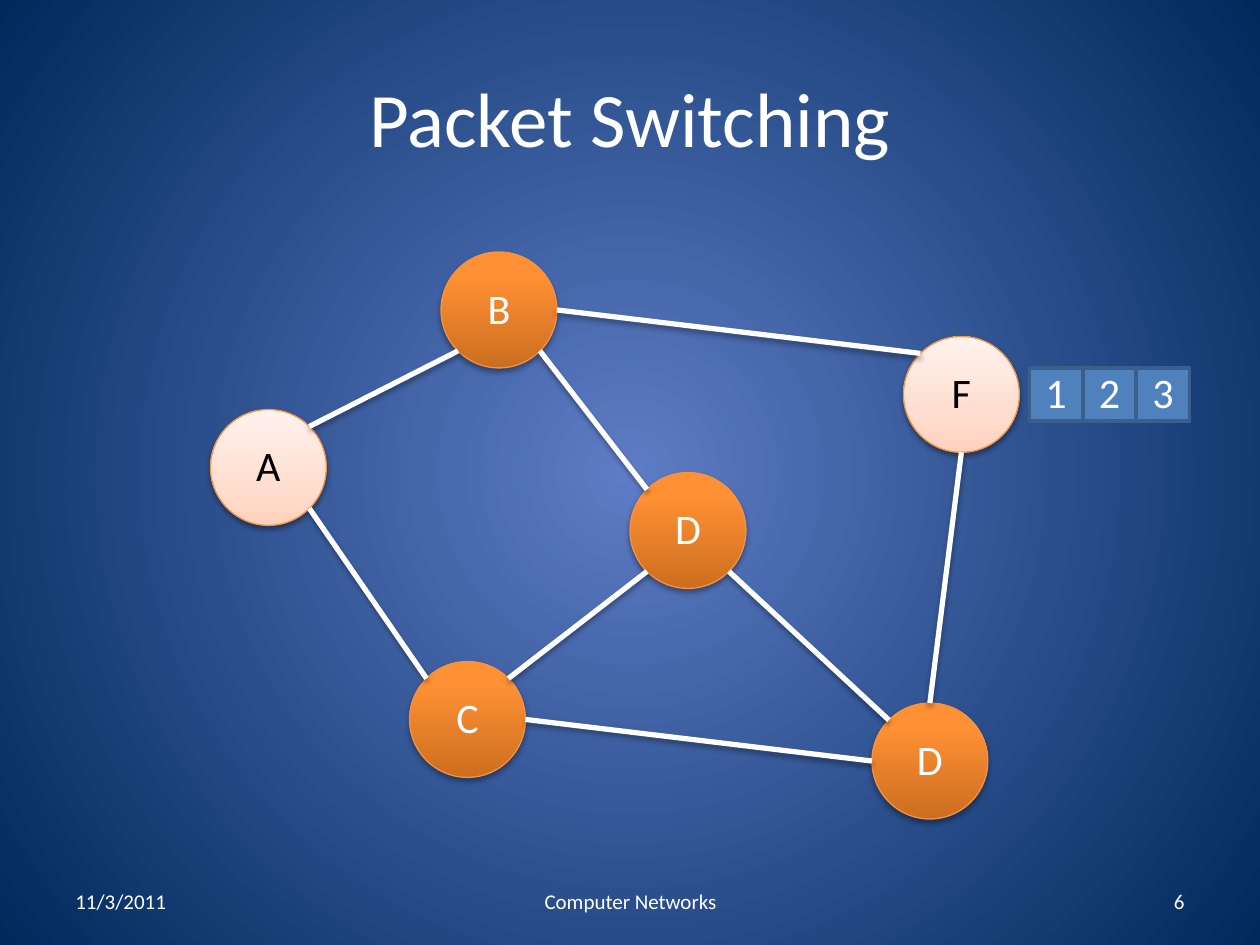
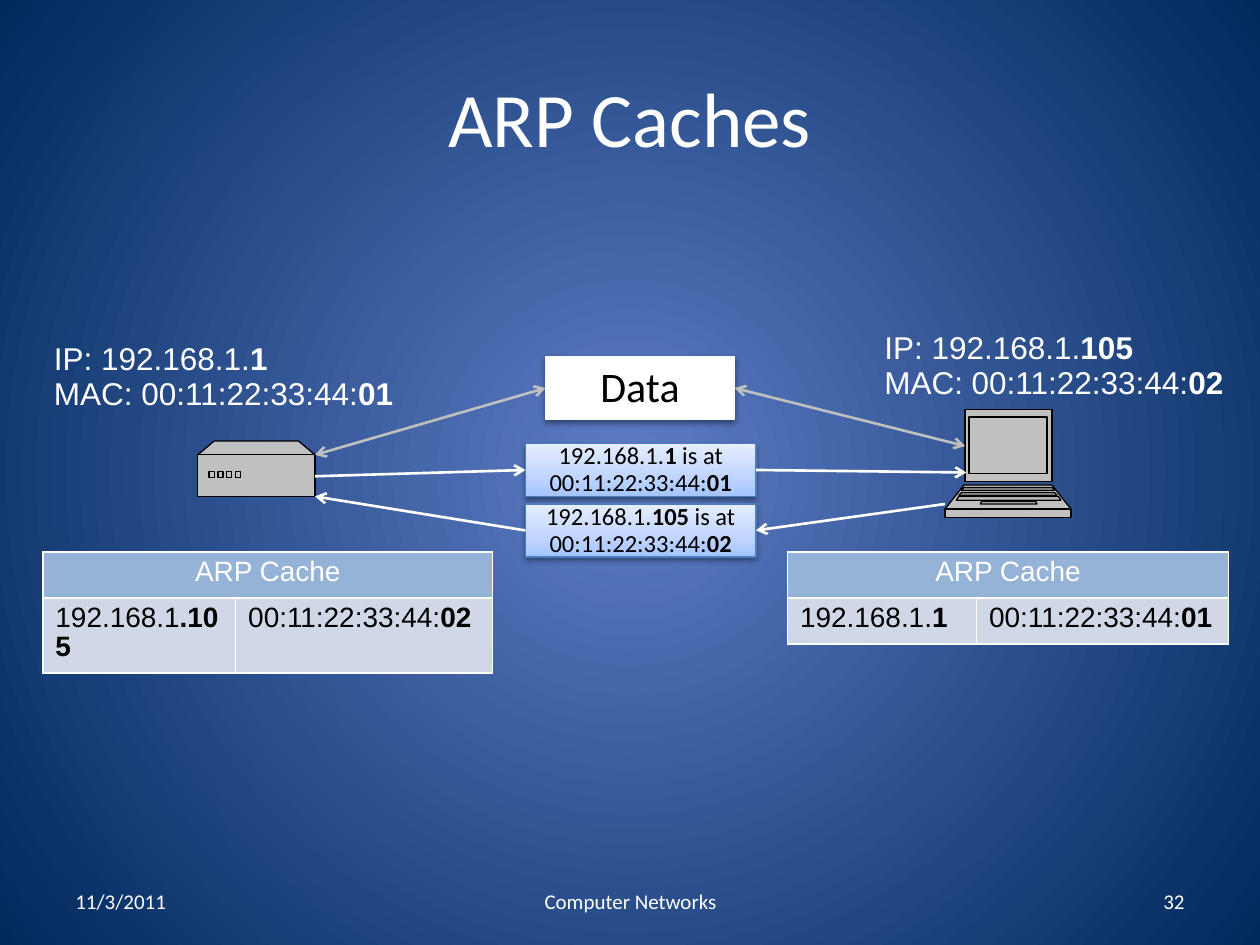
from math import cos, radians, sin

from pptx import Presentation
from pptx.dml.color import RGBColor
from pptx.enum.shapes import MSO_CONNECTOR, MSO_SHAPE
from pptx.enum.text import MSO_ANCHOR, MSO_AUTO_SIZE, PP_ALIGN
from pptx.oxml import parse_xml
from pptx.oxml.ns import nsdecls, qn
from pptx.util import Inches, Pt

LEFT, CENTER, RIGHT = PP_ALIGN.LEFT, PP_ALIGN.CENTER, PP_ALIGN.RIGHT
MIDDLE = MSO_ANCHOR.MIDDLE
FIT_SHAPE = MSO_AUTO_SIZE.SHAPE_TO_FIT_TEXT
STRAIGHT = MSO_CONNECTOR.STRAIGHT
OVAL, RECTANGLE = MSO_SHAPE.OVAL, MSO_SHAPE.RECTANGLE

WHITE, BLACK = "FFFFFF", "000000"
GREY, LIGHT_GREY = "C0C0C0", "BFBFBF"
ORANGE_LINE, BLUE_LINE = "F69240", "4B7EBC"
TABLE_HEAD, TABLE_BODY = "95B3D7", "D0D8E8"

BACKGROUND = [(0, "5E7CC5"), (100, "00295C")]
ORANGE = [(0, "CC6E20"), (80, "FF9034"), (100, "FF9136")]
PEACH = [(0, "FFD2BD"), (35, "FFDED0"), (100, "FFF2ED")]
PALE_BLUE = [(0, "A4C4FF"), (35, "BFD4FF"), (100, "E6EEFF")]
UPWARD = '<a:lin ang="16200000" scaled="0"/>'
FROM_CENTER = ('<a:path path="circle"><a:fillToRect l="50000" t="50000" '
               'r="50000" b="50000"/></a:path>')

# Shadows: opacity in percent, distance in points
STRONG_SHADOW, SOFT_SHADOW = (35, 1.8), (38, 1.6)

TIGHT = 0.93
NODE_SIZE = 0.92
PACKET_SIZE = 0.42


def rgb(value):
    return RGBColor.from_string(value)


def set_values(target, **values):
    for name, value in values.items():
        setattr(target, name, value)


def paint(fill, parent, paint_value, direction=UPWARD):
    """Fill with one hex colour or with a list of gradient stops."""
    fill.solid()
    if isinstance(paint_value, str):
        fill.fore_color.rgb = rgb(paint_value)
        return
    stops = "".join(
        f'<a:gs pos="{place * 1000}"><a:srgbClr val="{color}"/></a:gs>'
        for place, color in paint_value)
    gradient = parse_xml(f'<a:gradFill {nsdecls("a")} rotWithShape="1">'
                         f'<a:gsLst>{stops}</a:gsLst>{direction}</a:gradFill>')
    parent.replace(parent.find(qn("a:solidFill")), gradient)


def set_line(line, color, width):
    line.color.rgb = rgb(color)
    line.width = Pt(width)


def set_shadow(shape, shadow=None):
    """Add the effect list last; without a shadow it stays empty."""
    effect = ""
    if shadow:
        opacity, distance = shadow
        effect = (f'<a:outerShdw blurRad="{Pt(3.1)}" dist="{Pt(distance)}" '
                  f'dir="5400000" rotWithShape="0"><a:srgbClr val="{BLACK}">'
                  f'<a:alpha val="{opacity * 1000}"/></a:srgbClr></a:outerShdw>')
    shape.element.spPr.append(
        parse_xml(f'<a:effectLst {nsdecls("a")}>{effect}</a:effectLst>'))


def write_text(frame, paragraphs, size, color=WHITE, font="Calibri",
               align=LEFT, spacing=TIGHT):
    """Each paragraph lists its spans, plain and bold in turn."""
    for index, spans in enumerate(paragraphs):
        para = frame.add_paragraph() if index else frame.paragraphs[0]
        set_values(para, alignment=align, line_spacing=spacing)
        for order, words in enumerate(spans):
            span = para.add_run()
            span.text = words
            set_values(span.font, name=font, size=Pt(size), bold=order % 2 == 1)
            span.font.color.rgb = rgb(color)


def add_label(slide, place, paragraphs, size, **style):
    box = slide.shapes.add_textbox(*map(Inches, place))
    write_text(box.text_frame, paragraphs, size, **style)
    return box


def add_box(slide, kind, place, spans, fill, line, size=24, color=WHITE,
            shadow=None):
    shape = slide.shapes.add_shape(kind, *map(Inches, place))
    paint(shape.fill, shape.element.spPr, fill)
    set_line(shape.line, *line)
    set_shadow(shape, shadow)
    set_values(shape.text_frame, word_wrap=True, vertical_anchor=MIDDLE)
    write_text(shape.text_frame, [spans], size, color, align=CENTER)


def add_link(slide, start, end, color=WHITE, width=1.5, heads=(), shadow=None):
    """Draw a line; heads names the ends ("head", "tail") that get an arrow."""
    link = slide.shapes.add_connector(STRAIGHT, *map(Inches, (*start, *end)))
    set_line(link.line, color, width)
    outline = link.element.spPr.find(qn("a:ln"))
    for head in heads:
        outline.append(parse_xml(f'<a:{head}End {nsdecls("a")} type="arrow"/>'))
    set_shadow(link, shadow)


def add_slab(slide, left, right, top, bottom, flare=0):
    """Draw a grey rectangle whose lower edge is wider by flare on each side."""
    corners = [(left, top), (right, top), (right + flare, bottom),
               (left - flare, bottom)]
    points = [(Inches(x), Inches(y)) for x, y in corners]
    builder = slide.shapes.build_freeform(*points[0])
    builder.add_line_segments(points[1:], close=True)
    slab = builder.convert_to_shape()
    paint(slab.fill, slab.element.spPr, GREY)
    set_line(slab.line, BLACK, 0.75)
    set_shadow(slab)


def add_modem(slide):
    add_slab(slide, 1.7, 2.37, 3.5, 3.61, 0.13)
    add_slab(slide, 1.57, 2.5, 3.61, 3.94)
    for number in range(4):
        left = 1.66 + 0.07 * number
        add_slab(slide, left, left + 0.04, 3.74, 3.79)


def add_laptop(slide):
    for slab in [
        (7.66, 8.35, 3.25, 3.82),
        (7.69, 8.31, 3.31, 3.76),
        (7.65, 8.35, 3.85, 4.04, 0.15),
        (7.5, 8.5, 4.04, 4.11),
        (7.65, 8.35, 3.87, 3.89, 0.02),
        (7.63, 8.37, 3.91, 3.93, 0.02),
        (7.61, 8.4, 3.94, 3.97, 0.02),
        (7.79, 8.22, 3.98, 4, 0.01),
    ]:
        add_slab(slide, *slab)


def fill_cell(cell, spans, fill, color, align=LEFT):
    write_text(cell.text_frame, [spans], 16, color, "Arial", align)
    properties = cell._tc.get_or_add_tcPr()
    for side in "LRTB":
        properties.append(parse_xml(
            f'<a:ln{side} {nsdecls("a")} w="{Pt(1)}"><a:solidFill>'
            f'<a:srgbClr val="{WHITE}"/></a:solidFill></a:ln{side}>'))
    paint(cell.fill, properties, fill)


def add_cache(slide, left, widths, address, hardware):
    row_height = 0.365
    table = slide.shapes.add_table(
        2, 2, Inches(left), Inches(4.38), Inches(sum(widths)),
        Inches(2 * row_height)).table
    for column, width in zip(table.columns, widths):
        column.width = Inches(width)
    table.cell(0, 0).merge(table.cell(0, 1))
    fill_cell(table.cell(0, 0), ["ARP Cache"], TABLE_HEAD, WHITE, CENTER)
    for column, spans in enumerate((address, hardware)):
        fill_cell(table.cell(1, column), spans, TABLE_BODY, BLACK)


def start_slide(deck, title, number):
    """Add a slide with its title and footer."""
    slide = deck.slides.add_slide(deck.slide_layouts[5])
    heading = slide.shapes.title
    set_values(heading, left=Inches(0.5), top=Inches(0.3),
               width=Inches(9), height=Inches(1.25))
    heading.text_frame.vertical_anchor = MIDDLE
    write_text(heading.text_frame, [[title]], 44, align=CENTER, spacing=1.0)
    for left, width, words, align in [
        (0.5, 2.33, "11/3/2011", LEFT),
        (3.42, 3.17, "Computer Networks", CENTER),
        (7.17, 2.33, str(number), RIGHT),
    ]:
        box = add_label(slide, (left, 6.95, width, 0.4), [[words]], 12,
                        align=align, spacing=1.0)
        set_values(box.text_frame, word_wrap=True, vertical_anchor=MIDDLE)
    return slide


def rim_point(corner, angle):
    """Point on a node's rim, with the angle counter-clockwise from the right."""
    radius = NODE_SIZE / 2
    left, top = corner
    return (left + radius + radius * cos(radians(angle)),
            top + radius - radius * sin(radians(angle)))


def build_packet_switching(deck):
    slide = start_slide(deck, "Packet Switching", 6)
    hosts = {"A": (1.67, 3.25), "F": (7.17, 2.67)}
    switches = {"B": (3.5, 2), "C": (3.25, 5.25), "D": (5, 3.75),
                "D, lower": (6.92, 5.58)}
    for nodes, fill, color, shadow in [
        (hosts, PEACH, BLACK, SOFT_SHADOW),
        (switches, ORANGE, WHITE, STRONG_SHADOW),
    ]:
        for name, corner in nodes.items():
            add_box(slide, OVAL, (*corner, NODE_SIZE, NODE_SIZE), [name[0]],
                    fill, (ORANGE_LINE, 0.75), color=color, shadow=shadow)

    for index, packet in enumerate("123"):
        left = 8.17 + 0.425 * index
        add_box(slide, RECTANGLE, (left, 2.92, PACKET_SIZE, PACKET_SIZE),
                [packet], "4F81BD", ("3A5F8C", 2))

    corners = {**hosts, **switches}
    for start, start_angle, end, end_angle in [
        ("A", 45, "B", 225),
        ("A", 315, "C", 135),
        ("D", 225, "C", 45),
        ("D", 135, "B", 315),
        ("F", 135, "B", 0),
        ("D, lower", 135, "D", 315),
        ("D, lower", 180, "C", 0),
        ("F", 270, "D, lower", 90),
    ]:
        add_link(slide, rim_point(corners[start], start_angle),
                 rim_point(corners[end], end_angle), width=3,
                 shadow=STRONG_SHADOW)


def build_arp_caches(deck):
    slide = start_slide(deck, "ARP Caches", 32)
    add_modem(slide)
    add_laptop(slide)
    hardware = "00:11:22:33:44:"
    for left, top, host, ending in [(0.33, 2.67, "1", "01"),
                                    (6.92, 2.58, "105", "02")]:
        box = add_label(slide, (left, top, 2.92, 0.66),
                        [["IP: 192.168.1.", host],
                         ["MAC: " + hardware, ending]], 18, font="Arial")
        set_values(box.text_frame, word_wrap=False, auto_size=FIT_SHAPE)

    add_cache(slide, 0.34, (1.53, 2.04), ["192.168.1", ".105"], [hardware, "02"])
    add_cache(slide, 6.25, (1.5, 2), ["192.168.1.", "1"], [hardware, "01"])

    add_box(slide, RECTANGLE, (4.33, 2.83, 1.5, 0.5), ["Data"], WHITE,
            ("F9F9F9", 0.75), color=BLACK, shadow=SOFT_SHADOW)
    for top, host, ending in [(3.52, "1", "01"), (4, "105", "02")]:
        add_box(slide, RECTANGLE, (4.17, top, 1.83, 0.42),
                ["192.168.1.", host, " is at " + hardware, ending], PALE_BLUE,
                (BLUE_LINE, 0.75), 14, BLACK, SOFT_SHADOW)

    for start, end in [((2.5, 3.61), (4.33, 3.08)), ((5.83, 3.08), (7.66, 3.54))]:
        add_link(slide, start, end, LIGHT_GREY, heads=("head", "tail"))
    for start, end, head in [
        ((2.5, 3.78), (4.17, 3.73), "tail"),
        ((6, 3.73), (7.67, 3.75), "tail"),
        ((6, 4.21), (7.5, 4), "head"),
        ((2.5, 3.94), (4.17, 4.21), "head"),
    ]:
        add_link(slide, start, end, heads=(head,))


def main():
    deck = Presentation()
    set_values(deck, slide_width=Inches(10), slide_height=Inches(7.5))
    master = deck.slide_master
    fill = master.background.fill
    fill.solid()
    paint(fill, master.element.xpath(".//p:bgPr")[0], BACKGROUND, FROM_CENTER)
    build_packet_switching(deck)
    build_arp_caches(deck)
    deck.save("out.pptx")


if __name__ == "__main__":
    main()
